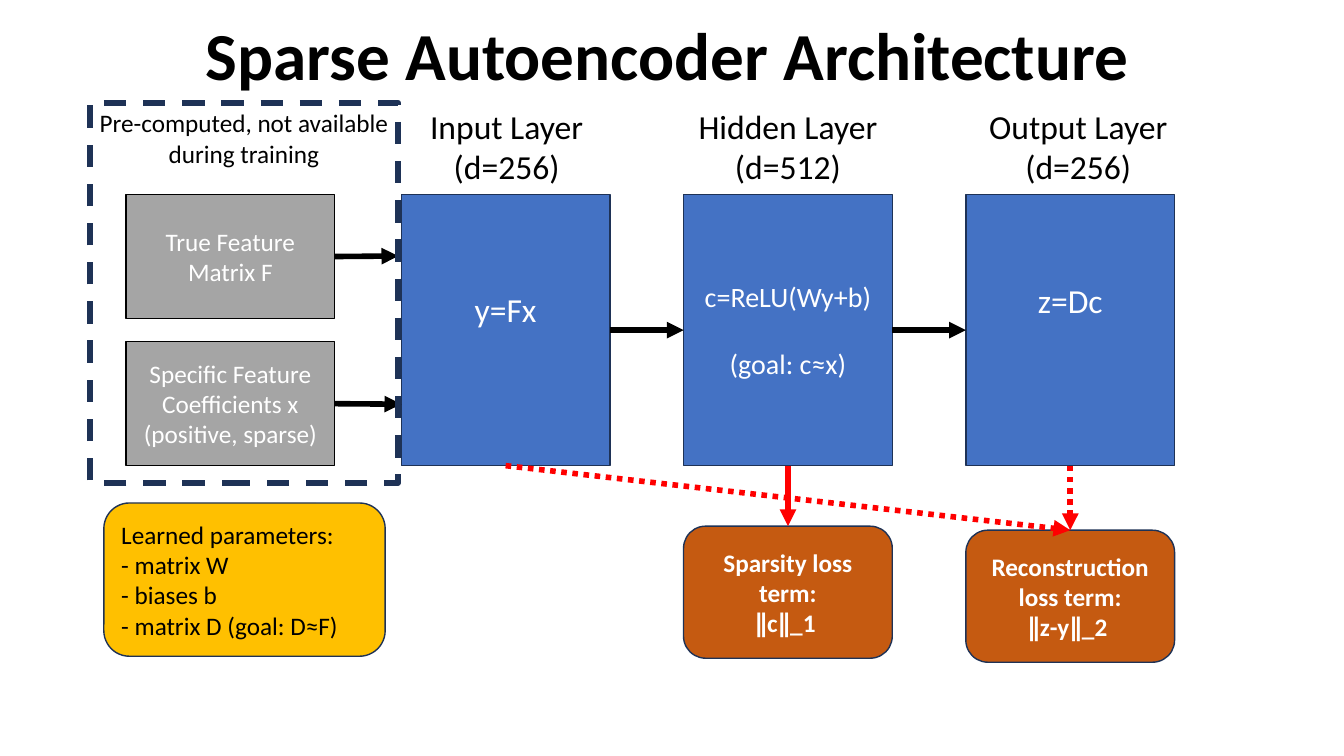
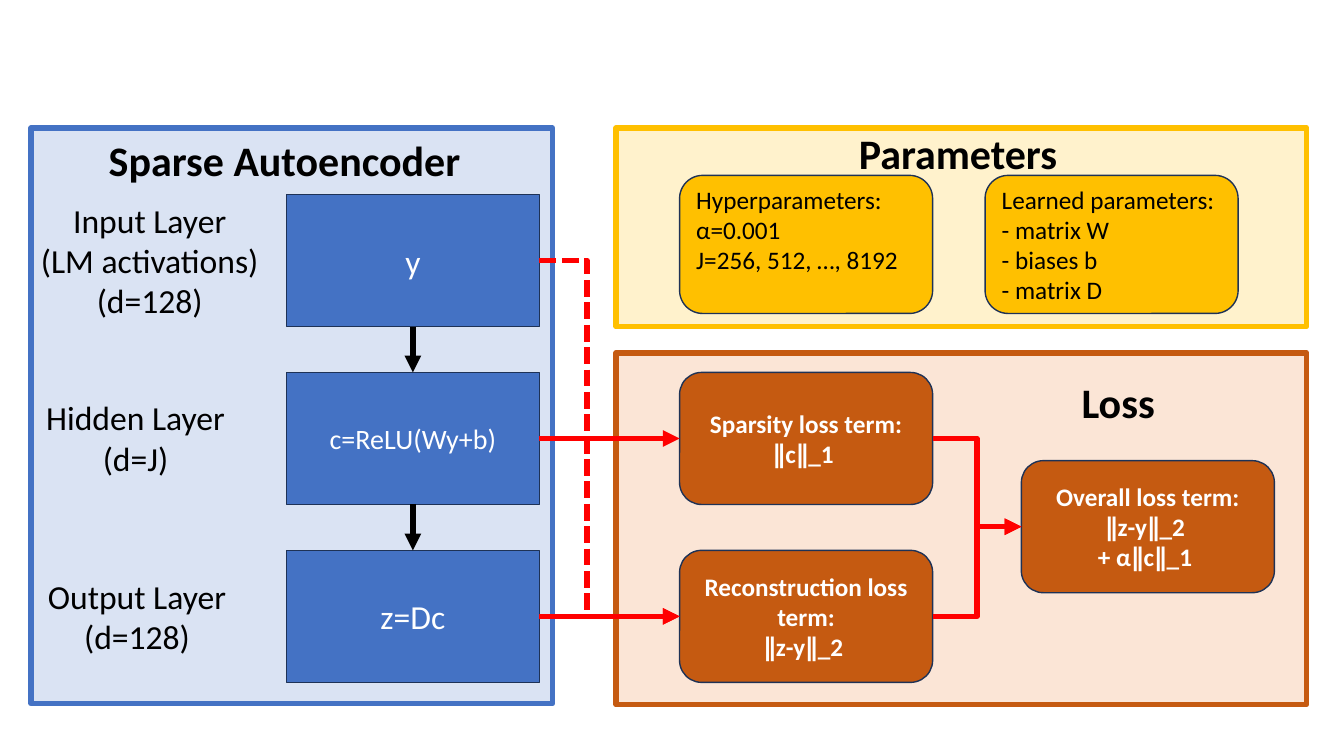
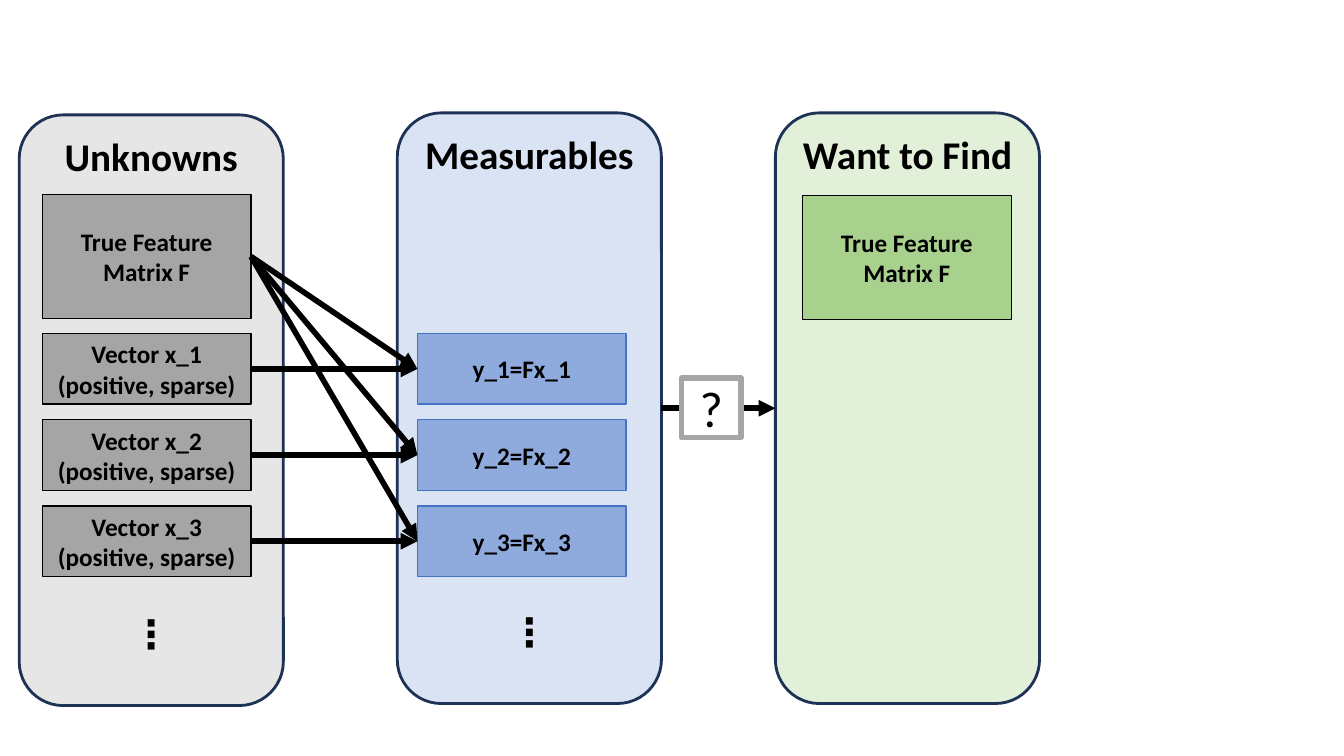
"""Build three slides on sparse autoencoders and their loss terms."""
from dataclasses import dataclass, replace
from typing import NamedTuple, Optional, Union

from lxml import etree
from pptx import Presentation
from pptx import util as u
from pptx.dml.color import RGBColor
from pptx.enum import dml, shapes, text
from pptx.oxml.ns import qn

FONT = "Calibri"
BLACK, WHITE, NAVY, RED = "000000", "FFFFFF", "1E3256", "FF0000"
BLUE, MID_BLUE, PALE_BLUE = "4472C4", "8FAADC", "DAE3F3"
GOLD, PALE_GOLD, RUST, PALE_RUST = "FFC000", "FFF2CC", "C55A11", "FBE5D6"
GREY, PALE_GREY, GREEN, PALE_GREEN = "A5A5A5", "E7E6E6", "A9D18E", "E2F0D9"

RECT = shapes.MSO_SHAPE.RECTANGLE
ROUND = shapes.MSO_SHAPE.ROUNDED_RECTANGLE
LEFT, CENTER = text.PP_ALIGN.LEFT, text.PP_ALIGN.CENTER
TOP, MIDDLE = text.MSO_ANCHOR.TOP, text.MSO_ANCHOR.MIDDLE
ABOVE, LEFT_SIDE, BELOW, RIGHT_SIDE = range(4)


@dataclass(frozen=True)
class Style:
    """Look of a box and its text; no preset means a plain text box."""
    preset: Optional[int] = RECT
    fill: Optional[str] = None
    line: str = NAVY
    weight: float = 1
    dash: Optional[int] = None
    size: float = 18
    color: str = WHITE
    bold: bool = False
    align: int = CENTER
    anchor: int = MIDDLE
    wrap: bool = True
    gap: float = 0
    bottom: float = 0.05


class Box(NamedTuple):
    """Position and size in inches."""
    x: float
    y: float
    w: float
    h: float


class Port(NamedTuple):
    """Middle of one side of a shape."""
    shape: object
    side: int


class Point(NamedTuple):
    """Free position in inches."""
    x: float
    y: float


End = Union[Port, Point]

LAYER = Style(fill=BLUE, size=24)
FORMULA = replace(LAYER, size=20, gap=24)
UNKNOWN = Style(fill=GREY, line=BLACK)
LOSS = Style(preset=ROUND, fill=RUST, bold=True)
PARAMS = Style(preset=ROUND, fill=GOLD, color=BLACK, align=LEFT)
LABEL = Style(preset=None, size=24, color=BLACK, anchor=TOP)
HEADING = replace(LABEL, size=30, bold=True, align=LEFT, wrap=False)
TITLE = replace(HEADING, size=48)
FRAME = Style(line=NAVY, weight=4, dash=dml.MSO_LINE.DASH, color=BLACK, anchor=TOP)
COLUMN = Style(preset=ROUND, weight=2, size=28, color=BLACK, bold=True, anchor=TOP, gap=307)
ITEM = replace(UNKNOWN, color=BLACK, bold=True)
MEASURED = replace(ITEM, fill=MID_BLUE, line=BLUE)
DOTTED, DASHED = dml.MSO_LINE.ROUND_DOT, dml.MSO_LINE.SQUARE_DOT


def rgb(value: str) -> RGBColor:
    """Turn a hex string into a colour."""
    return RGBColor.from_string(value)


def write(sp, words: str, style: Style) -> None:
    """Set the text of a shape and format it."""
    tf = sp.text_frame
    tf.text = words
    tf.word_wrap = style.wrap
    tf.auto_size = text.MSO_AUTO_SIZE.NONE
    tf.vertical_anchor = style.anchor
    tf.margin_left = tf.margin_right = u.Inches(0.1)
    tf.margin_top, tf.margin_bottom = u.Inches(0.05), u.Inches(style.bottom)
    for i, p in enumerate(tf.paragraphs):
        p.alignment = style.align
        p.space_before = u.Pt(style.gap if i else 0)
        for r in p.runs:
            r.font.name, r.font.size = FONT, u.Pt(style.size)
            r.font.bold = style.bold
            r.font.color.rgb = rgb(style.color)


def draw(s, box: Box, style: Style, words: str = ""):
    """Add a shape or text box and return it."""
    place = [u.Inches(v) for v in box]
    if style.preset is None:
        sp = s.shapes.add_textbox(*place)
    else:
        sp = s.shapes.add_shape(style.preset, *place)
        sp.shadow.inherit = False
        if style.fill:
            sp.fill.solid()
            sp.fill.fore_color.rgb = rgb(style.fill)
        else:
            sp.fill.background()
        sp.line.color.rgb = rgb(style.line)
        sp.line.width = u.Pt(style.weight)
        if style.dash:
            sp.line.dash_style = style.dash
    if words:
        write(sp, words, style)
    return sp


def locate(end: End) -> tuple[int, int]:
    """Give the slide position of a connector end."""
    if isinstance(end, Point):
        return u.Inches(end.x), u.Inches(end.y)
    sp, side = end
    across = {LEFT_SIDE: 0, RIGHT_SIDE: sp.width}.get(side, sp.width // 2)
    down = {ABOVE: 0, BELOW: sp.height}.get(side, sp.height // 2)
    return sp.left + across, sp.top + down


def arrow(s, start: End, end: End, color: str = BLACK,
          dash: Optional[int] = None, bend: Optional[float] = None) -> None:
    """Draw an arrow, bent at a share of its width when bend is given."""
    kind = shapes.MSO_CONNECTOR.STRAIGHT if bend is None else shapes.MSO_CONNECTOR.ELBOW
    line = s.shapes.add_connector(kind, *locate(start), *locate(end))
    if isinstance(start, Port):
        line.begin_connect(start.shape, start.side)
    if isinstance(end, Port):
        line.end_connect(end.shape, end.side)
    line.line.color.rgb = rgb(color)
    line.line.width = u.Pt(4)
    if dash:
        line.line.dash_style = dash
    sp_pr = line._element.spPr
    if bend is not None:
        guides = sp_pr.find(qn("a:prstGeom")).get_or_add_avLst()
        etree.SubElement(guides, qn("a:gd"), name="adj1", fmla=f"val {round(bend * 100000)}")
    etree.SubElement(sp_pr.find(qn("a:ln")), qn("a:tailEnd"), type="triangle")
    etree.SubElement(sp_pr, qn("a:effectLst"))


def architecture(prs) -> None:
    """Build the slide with the three layers side by side."""
    s = prs.slides.add_slide(prs.slide_layouts[5])
    title = s.shapes.title
    title.left, title.top, title.width, title.height = map(u.Inches, (1.94, 0.08, 9.45, 0.91))
    write(title, "Sparse Autoencoder Architecture", TITLE)

    features, coefficients = [
        draw(s, Box(1.25, y, 2.07, 1.23), UNKNOWN, words)
        for y, words in ((1.93, "True Feature Matrix F"),
                         (3.39, "Specific Feature Coefficients x\n(positive, sparse)"))]
    columns = [3.98 + 2.8 * i for i in range(3)]
    contents = (("y=Fx", replace(LAYER, bottom=0.46)),
                ("c=ReLU(Wy+b)\n(goal: c≈x)", FORMULA),
                ("z=Dc", replace(LAYER, bottom=0.65)))
    layers = [draw(s, Box(x, 1.93, 2.07, 2.69), style, words)
              for x, (words, style) in zip(columns, contents)]
    for x, words in ((3.99, "Input Layer\n(d=256)"), (6.78, "Hidden Layer\n(d=512)"),
                     (9.66, "Output Layer\n(d=256)")):
        draw(s, Box(x, 1, 2.07, 0.91), LABEL, words)

    arrow(s, Port(features, RIGHT_SIDE), Point(3.95, 2.54))
    arrow(s, Port(coefficients, RIGHT_SIDE), Point(3.98, 4.01))
    for a, b in zip(layers, layers[1:]):
        arrow(s, Port(a, RIGHT_SIDE), Port(b, LEFT_SIDE))
    draw(s, Box(0.89, 1.02, 3.06, 3.77), FRAME, "Pre-computed, not available during training")

    sparsity = draw(s, Box(columns[1], 5.22, 2.07, 1.31), LOSS, "Sparsity loss term:\n∥c∥_1 ")
    rebuilt = draw(s, Box(columns[2], 5.26, 2.07, 1.31), LOSS,
                   "Reconstruction loss term:\n∥z-y∥_2 ")
    for layer, loss, dash in ((layers[1], sparsity, None), (layers[2], rebuilt, DOTTED),
                              (layers[0], rebuilt, DOTTED)):
        arrow(s, Port(layer, BELOW), Port(loss, ABOVE), RED, dash)
    draw(s, Box(1.03, 4.99, 2.79, 1.52), PARAMS,
         "Learned parameters: \n- matrix W\n- biases b \n- matrix D (goal: D≈F)")


def training(prs) -> None:
    """Build the slide with the autoencoder, parameter and loss panels."""
    s = prs.slides.add_slide(prs.slide_layouts[6])
    for box, fill, line in ((Box(6.11, 3.5, 6.85, 3.49), PALE_RUST, RUST),
                            (Box(6.11, 1.27, 6.85, 1.97), PALE_GOLD, GOLD),
                            (Box(0.31, 1.27, 5.17, 5.71), PALE_BLUE, BLUE)):
        draw(s, box, Style(fill=fill, line=line, weight=4))
    for box, words in ((Box(0.98, 1.29, 3.72, 0.61), "Sparse Autoencoder"),
                       (Box(8.42, 1.22, 2.19, 0.61), "Parameters"),
                       (Box(10.63, 3.69, 0.94, 0.61), "Loss")):
        draw(s, box, HEADING, words)
    for box, words in ((Box(0.26, 1.93, 2.45, 1.31), "Input Layer\n(LM activations)\n(d=128)"),
                       (Box(0.31, 3.89, 2.07, 0.91), "Hidden Layer\n(d=J)"),
                       (Box(0.33, 5.66, 2.06, 0.91), "Output Layer\n(d=128)")):
        draw(s, box, LABEL, words)

    rows = [1.93 + 1.765 * i for i in range(3)]
    contents = (("y", LAYER), ("c=ReLU(Wy+b)", FORMULA), ("z=Dc", LAYER))
    layers = [draw(s, Box(2.84, y, 2.51, 1.31), style, words)
              for y, (words, style) in zip(rows, contents)]
    for a, b in zip(layers, layers[1:]):
        arrow(s, Port(a, BELOW), Port(b, ABOVE))

    losses = [draw(s, Box(6.74, y, 2.51, 1.31), LOSS, words)
              for y, words in zip(rows[1:], ("Sparsity loss term:\n∥c∥_1 ",
                                             "Reconstruction loss term:\n∥z-y∥_2 "))]
    overall = draw(s, Box(10.13, 4.57, 2.51, 1.31), LOSS,
                   "Overall loss term:\n∥z-y∥_2 \n+ α∥c∥_1 ")
    arrow(s, Port(layers[0], RIGHT_SIDE), Port(losses[1], LEFT_SIDE), RED, DASHED, 0.34)
    for layer, loss in zip(layers[1:], losses):
        arrow(s, Port(layer, RIGHT_SIDE), Port(loss, LEFT_SIDE), RED)
        arrow(s, Port(loss, RIGHT_SIDE), Port(overall, LEFT_SIDE), RED, bend=0.5)

    draw(s, Box(6.74, 1.74, 2.51, 1.37), replace(PARAMS, bottom=0.35),
         "Hyperparameters:\nα=0.001\nJ=256, 512, …, 8192")
    draw(s, Box(9.77, 1.74, 2.51, 1.37), PARAMS,
         "Learned parameters: \n- matrix W\n- biases b \n- matrix D")


def problem(prs) -> None:
    """Build the slide on what is unknown, measured and wanted."""
    s = prs.slides.add_slide(prs.slide_layouts[6])
    _, measurables, wanted = [
        draw(s, Box(x, y, 2.62, 5.86), replace(COLUMN, fill=fill), words)
        for x, y, fill, words in ((0.19, 1.14, PALE_GREY, "Unknowns\n⋮"),
                                  (3.94, 1.12, PALE_BLUE, "Measurables\n⋮"),
                                  (7.69, 1.12, PALE_GREEN, "Want to Find"))]
    features = draw(s, Box(0.42, 1.93, 2.07, 1.23), ITEM, "True Feature Matrix F")
    draw(s, Box(7.96, 1.94, 2.07, 1.23), replace(ITEM, fill=GREEN), "True Feature Matrix F")
    for i in range(3):
        y = 3.31 + 0.855 * i
        vector = draw(s, Box(0.42, y, 2.07, 0.7), ITEM, f"Vector x_{i + 1}\n(positive, sparse)")
        measured = draw(s, Box(4.14, y, 2.07, 0.7), MEASURED, f"y_{i + 1}=Fx_{i + 1}")
        for cause in (features, vector):
            arrow(s, Port(cause, RIGHT_SIDE), Port(measured, LEFT_SIDE))
    arrow(s, Port(measurables, RIGHT_SIDE), Port(wanted, LEFT_SIDE))
    draw(s, Box(6.76, 3.75, 0.59, 0.59),
         Style(fill=WHITE, line=GREY, weight=4, size=36, color=BLACK), "?")


def main() -> None:
    """Build and save the presentation."""
    prs = Presentation()
    prs.slide_width, prs.slide_height = u.Inches(13.33), u.Inches(7.5)
    for build in (architecture, training, problem):
        build(prs)
    prs.save("out.pptx")


if __name__ == "__main__":
    main()
